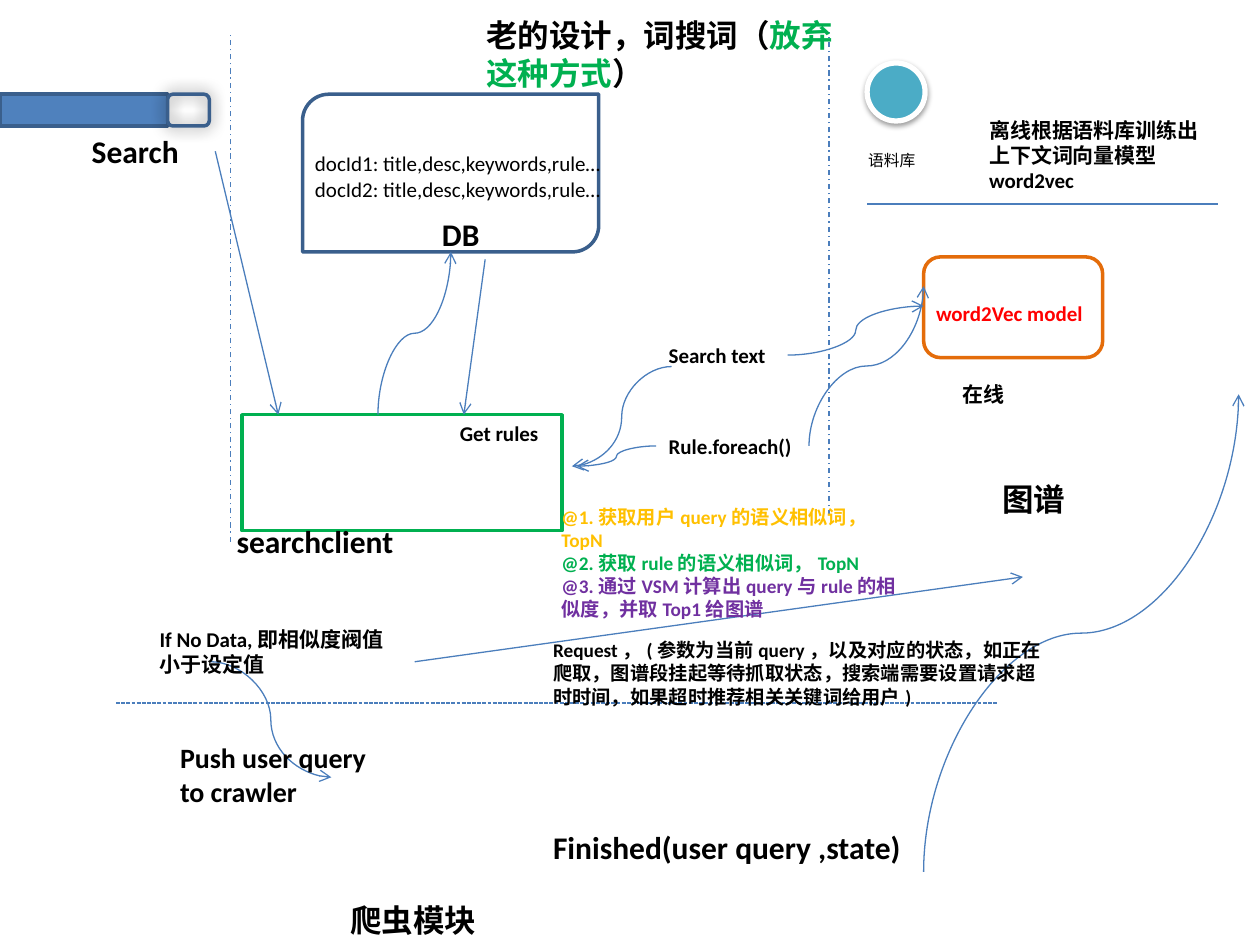
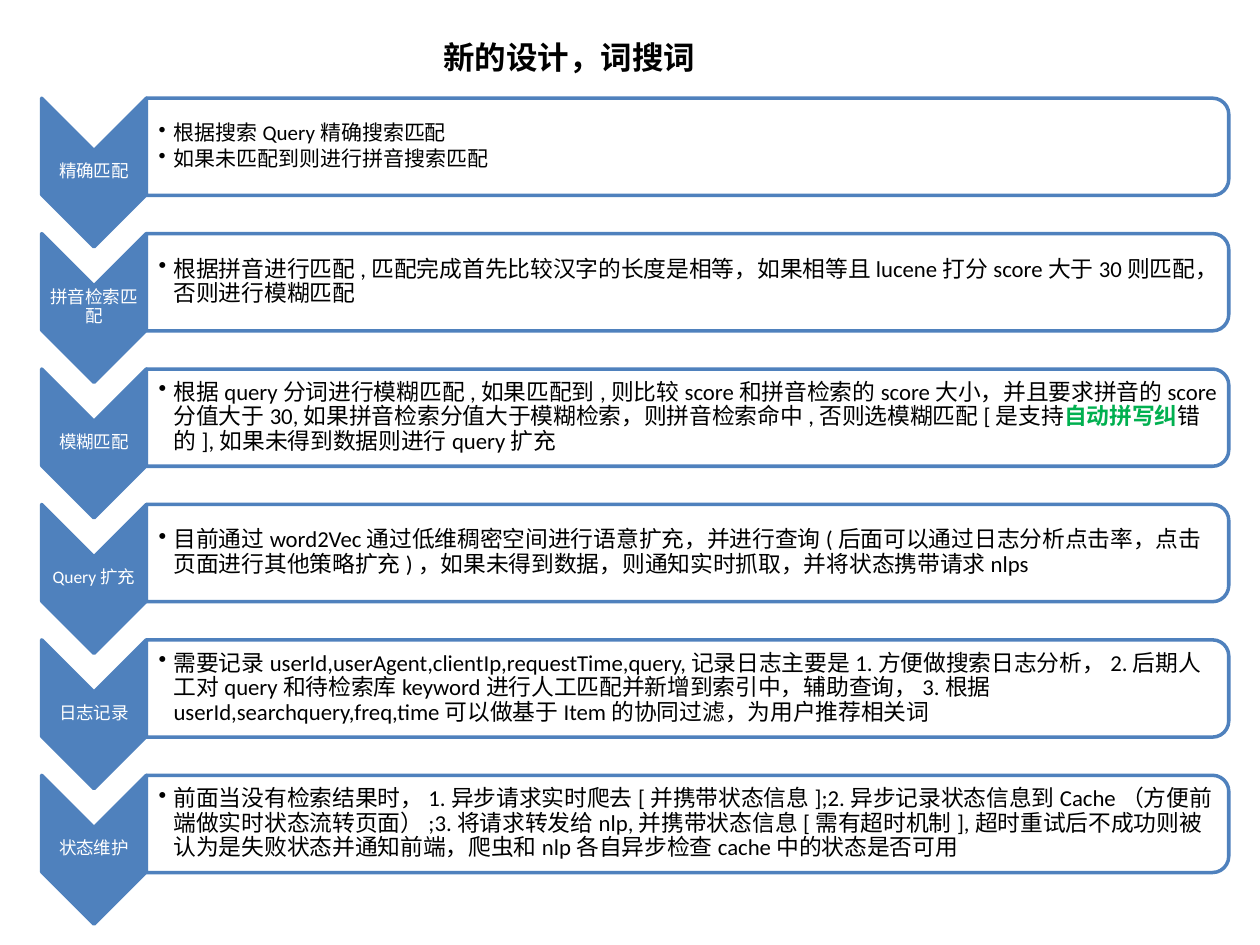
import pptx
import pptx.util
import pptx.dml.color
import pptx.enum.dml
import pptx.enum.shapes
import pptx.enum.text
import pptx.oxml
import pptx.oxml.ns

Cm = pptx.util.Cm
Pt = pptx.util.Pt
Kind = pptx.enum.shapes.MSO_SHAPE
Link = pptx.enum.shapes.MSO_CONNECTOR
Dash = pptx.enum.dml.MSO_LINE
Align = pptx.enum.text.PP_ALIGN
Anchor = pptx.enum.text.MSO_ANCHOR

FONT = "Calibri"
HUES = {
    "black": "000000", "white": "FFFFFF", "blue": "4F81BD", "navy": "3A5F8C",
    "link": "4B7EBC", "green": "00B050", "orange": "E46C0A", "red": "FF0000",
    "teal": "4BACC6", "gold": "FFC000", "purple": "7030A0",
}

# Slide 1 labels: box in cm, text, size
LABELS = [
    ((1.6, 2.54, 2.74, 1.02), "Search", 18),
    ((8.66, 4.22, 2.24, 1.02), "DB", 18),
    ((4.52, 10.39, 4.32, 1.02), "searchclient", 18),
    ((9.02, 8.36, 2.49, 0.76), "Get rules", 12),
    ((19.96, 9.55, 5.28, 1.02), "图谱", 18),
    ((13.23, 6.78, 3.05, 0.76), "Search text", 12),
    ((13.23, 8.61, 3.48, 0.76), "Rule.foreach()", 12),
    ((19.69, 2.24, 4.88, 1.8), "离线根据语料库训练出上下文词向量模型word2vec", 12),
    ((19.15, 7.57, 2.97, 0.76), "在线", 12),
    ((2.97, 12.5, 5.13, 1.27), "If No Data,即相似度阀值小于设定值", 12),
    ((6.81, 18.03, 6.93, 1.02), "爬虫模块", 18),
    ((3.38, 14.81, 4.7, 1.63), "Push user query to crawler", 16),
    ((10.9, 12.75, 10.54, 1.68),
     "Request，(参数为当前query，以及对应的状态，如正在爬取，图谱段挂起等待抓取状态，"
     "搜索端需要设置请求超时时间，如果超时推荐相关关键词给用户)", 11),
    ((10.9, 16.56, 7.54, 1.02), "Finished(user query ,state)", 18),
]

# Slide 1 arrows: start and end in cm
ARROWS = [
    (4.34, 3.05, 5.61, 8.36),
    (9.78, 5.23, 9.35, 8.36),
    (8.36, 13.34, 20.62, 11.63),
]
CURVES = [
    (15.88, 7.16, 18.62, 6.17),
    (13.54, 7.39, 11.53, 9.4),
    (13.23, 8.99, 11.63, 9.4),
    (4.24, 13.34, 6.68, 15.67),
]
RISING = [
    (7.62, 8.36, 9.09, 5.08),
    (16.31, 8.99, 18.62, 5.77),
    (18.62, 17.58, 24.97, 7.95),
]

# Slide 2 steps: label and its bullets
STEPS = [
    ("精确匹配", ["根据搜索Query精确搜索匹配", "如果未匹配到则进行拼音搜索匹配"]),
    ("拼音检索匹配", ["根据拼音进行匹配,匹配完成首先比较汉字的长度是相等，如果相等且lucene"
                "打分score大于30则匹配，否则进行模糊匹配"]),
    ("模糊匹配", [[
        ("根据query分词进行模糊匹配,如果匹配到,则比较score和拼音检索的score大小，"
         "并且要求拼音的score分值大于30,如果拼音检索分值大于模糊检索，"
         "则拼音检索命中,否则选模糊匹配[是支持", "black"),
        ("自动拼写纠", "green"),
        ("错的],如果未得到数据则进行query扩充", "black")]]),
    ("Query扩充", ["目前通过word2Vec通过低维稠密空间进行语意扩充，并进行查询(后面可以通过"
                 "日志分析点击率，点击页面进行其他策略扩充)，如果未得到数据，"
                 "则通知实时抓取，并将状态携带请求nlps"]),
    ("日志记录", ["需要记录userId,userAgent,clientIp,requestTime,query,记录日志主要是"
              "1.方便做搜索日志分析，2.后期人工对query和待检索库keyword进行人工匹配"
              "并新增到索引中，辅助查询，3.根据userId,searchquery,freq,time"
              "可以做基于Item的协同过滤，为用户推荐相关词"]),
    ("状态维护", ["前面当没有检索结果时，1.异步请求实时爬去[并携带状态信息];"
              "2.异步记录状态信息到Cache（方便前端做实时状态流转页面）;"
              "3.将请求转发给nlp,并携带状态信息[需有超时机制],超时重试后不成功则被"
              "认为是失败状态并通知前端，爬虫和nlp各自异步检查cache中的状态是否可用"]),
]


def color(name):
    return pptx.dml.color.RGBColor.from_string(HUES[name])


def child(node, tag, **attrs):
    item = pptx.oxml.ns.qn(tag)
    new = node.makeelement(item, {key: str(val) for key, val in attrs.items()})
    node.append(new)
    return new


def label(art, box, lines, size, hue="black", bold=True):
    """Add a text box; a line is a string or a list of (words, hue) parts."""
    lines = [lines] if isinstance(lines, str) else lines
    lines = [[(ln, hue)] if isinstance(ln, str) else ln for ln in lines]
    frame = art.add_textbox(*map(Cm, box)).text_frame
    frame.word_wrap = True
    frame.text = "\n".join(line[0][0] for line in lines)
    for para, line in zip(frame.paragraphs, lines):
        for words, _ in line[1:]:
            para.add_run().text = words
        for run, (_, tint) in zip(para.runs, line):
            run.font.name = FONT
            run.font.size = Pt(size)
            run.font.bold = bold or tint == "green"
            run.font.color.rgb = color(tint)
    return frame


def title(art, box, parts):
    label(art, box, [parts], 18)


def block(art, kind, box, fill, edge, width=2, turn=False):
    """Add a shape that covers box, turned by 90 degrees if asked."""
    left, top, wide, high = box
    if turn:
        left, top = left + (wide - high) / 2, top + (high - wide) / 2
        wide, high = high, wide
    shape = art.add_shape(kind, Cm(left), Cm(top), Cm(wide), Cm(high))
    shape.rotation = 90 if turn else 0
    shape.shadow.inherit = False
    if fill:
        shape.fill.solid()
        shape.fill.fore_color.rgb = color(fill)
    else:
        shape.fill.background()
    shape.line.color.rgb = color(edge)
    shape.line.width = Pt(width)
    return shape


def shade(shape, alpha, blur, dist=0, angle=0):
    effect = shape._element.spPr.find(pptx.oxml.ns.qn("a:effectLst"))
    cast = child(effect, "a:outerShdw", blurRad=Pt(blur), dist=Pt(dist),
                 dir=angle * 60000, algn="ctr", rotWithShape=0)
    tint = child(cast, "a:srgbClr", val=HUES["black"])
    child(tint, "a:alpha", val=alpha * 1000)


def line(art, ends, kind=Link.STRAIGHT, dash=None, arrow=False, rise=False):
    """Add a connector; rise makes a curve leave and arrive vertically."""
    x1, y1, x2, y2 = ends
    if rise:
        midx, midy = (x1 + x2) / 2, (y1 + y2) / 2
        dx, dy = (x2 - x1) / 2, (y2 - y1) / 2
        x1, y1, x2, y2 = midx - dy, midy + dx, midx + dy, midy - dx
    link = art.add_connector(kind, Cm(x1), Cm(y1), Cm(x2), Cm(y2))
    link.line.color.rgb = color("link")
    link.line.width = Pt(0.75)
    if dash:
        link.line.dash_style = dash
    props = link._element.spPr
    if arrow:
        child(props.find(pptx.oxml.ns.qn("a:ln")), "a:tailEnd", type="arrow")
    if rise:
        props.find(pptx.oxml.ns.qn("a:xfrm")).set("rot", str(90 * 60000))
    child(props, "a:effectLst")


def inset(frame, left):
    frame.vertical_anchor = Anchor.MIDDLE
    frame.margin_left = Cm(left)
    frame.margin_top = frame.margin_right = frame.margin_bottom = Cm(0.03)


def bullet(para):
    para.level = 1
    props = para._p.get_or_add_pPr()
    props.set("marL", str(Cm(0.3)))
    props.set("indent", str(Cm(-0.3)))
    child(props, "a:buChar", char="•")


def step(slide, top, name, notes, size):
    """Add one chevron with its label and its bar of bullets."""
    art = slide.shapes.add_group_shape().shapes
    block(art, Kind.CHEVRON, (0.84, top, 2.11, 3), "blue", "blue", turn=True)
    frame = label(art, (0.84, top + 1.04, 2.11, 0.89), name, 10, "white", False)
    inset(frame, 0.03)
    para = frame.paragraphs[0]
    para.alignment = Align.CENTER
    para.line_spacing = 0.9
    para.space_after = Pt(3.5)

    bar = block(art, Kind.ROUND_2_SAME_RECTANGLE, (2.95, top, 21.82, 1.96),
                "white", "blue", turn=True)
    tint = bar._element.spPr.find(".//" + pptx.oxml.ns.qn("a:srgbClr"))
    child(tint, "a:alpha", val=90000)
    frame = label(art, (2.95, top + 0.1, 21.72, 1.75), notes, size, bold=False)
    inset(frame, 0.25)
    for para in frame.paragraphs:
        para.line_spacing = 0.9
        para.space_after = Pt(size * 0.15)
        bullet(para)


def old(slide):
    art = slide.shapes
    # Zone borders
    line(art, (2.34, 14.17, 20.12, 14.17), dash=Dash.SQUARE_DOT)
    line(art, (16.71, 10.39, 16.71, 0.64), dash=Dash.DASH_DOT)
    line(art, (4.65, 10.92, 4.65, 0.64), dash=Dash.DASH_DOT)
    line(art, (17.48, 4.11, 24.56, 4.11))

    # Search bar, index, client, model and corpus
    block(art, Kind.RECTANGLE, (0, 1.9, 3.38, 0.64), "blue", "navy")
    knob = block(art, Kind.ROUNDED_RECTANGLE, (3.38, 1.9, 0.84, 0.64), None, "navy")
    shade(knob, 63, 9, angle=314)
    block(art, Kind.ROUND_2_DIAG_RECTANGLE, (6.1, 1.9, 5.97, 3.18), None, "navy")
    block(art, Kind.RECTANGLE, (4.88, 8.36, 6.45, 2.34), None, "green")
    block(art, Kind.ROUNDED_RECTANGLE, (18.62, 5.18, 3.61, 2.03), None, "orange")
    dot = block(art, Kind.OVAL, (17.48, 1.27, 1.17, 1.17), "teal", "white", 3)
    shade(dot, 38, 3.1, 1.6, 90)

    # Flow
    for ends in ARROWS:
        line(art, ends, arrow=True)
    for ends in CURVES:
        line(art, ends, Link.CURVE, arrow=True)
    for ends in RISING:
        line(art, ends, Link.CURVE, arrow=True, rise=True)

    # Wording
    for box, words, size in LABELS:
        label(art, box, words, size)
    docs = [f"docId{num}: title,desc,keywords,rule…" for num in (1, 2)]
    label(art, (6.1, 2.92, 7.14, 1.27), docs, 12, bold=False)
    label(art, (18.62, 5.94, 3.61, 0.76), "word2Vec model", 12, "red")
    label(art, (17.25, 2.92, 1.57, 0.64), "语料库", 9, bold=False)
    label(art, (11.07, 10.06, 7.47, 2.13), [
        [("@1.获取用户query的语义相似词，TopN", "gold")],
        [("@2.获取rule的语义相似词，TopN", "green")],
        [("@3.通过VSM计算出query与rule的相似度，并取Top1给图谱", "purple")]], 11)
    title(art, (9.55, 0.2, 7.62, 1.8), [
        ("老的设计，词搜词（", "black"), ("放弃这种方式", "green"), ("）", "black")])


def new(slide):
    title(slide.shapes, (8.69, 0.64, 7.62, 1.07), [("新的设计，词搜词", "black")])
    for num, (name, notes) in enumerate(STEPS):
        size = 12 if len(notes) > 1 else 13
        step(slide, 1.98 + num * 2.73, name, notes, size)


def main():
    deck = pptx.Presentation()
    deck.slide_width, deck.slide_height = Cm(25.4), Cm(19.05)
    for draw in (old, new):
        draw(deck.slides.add_slide(deck.slide_layouts[6]))
    deck.save("out.pptx")


main()
